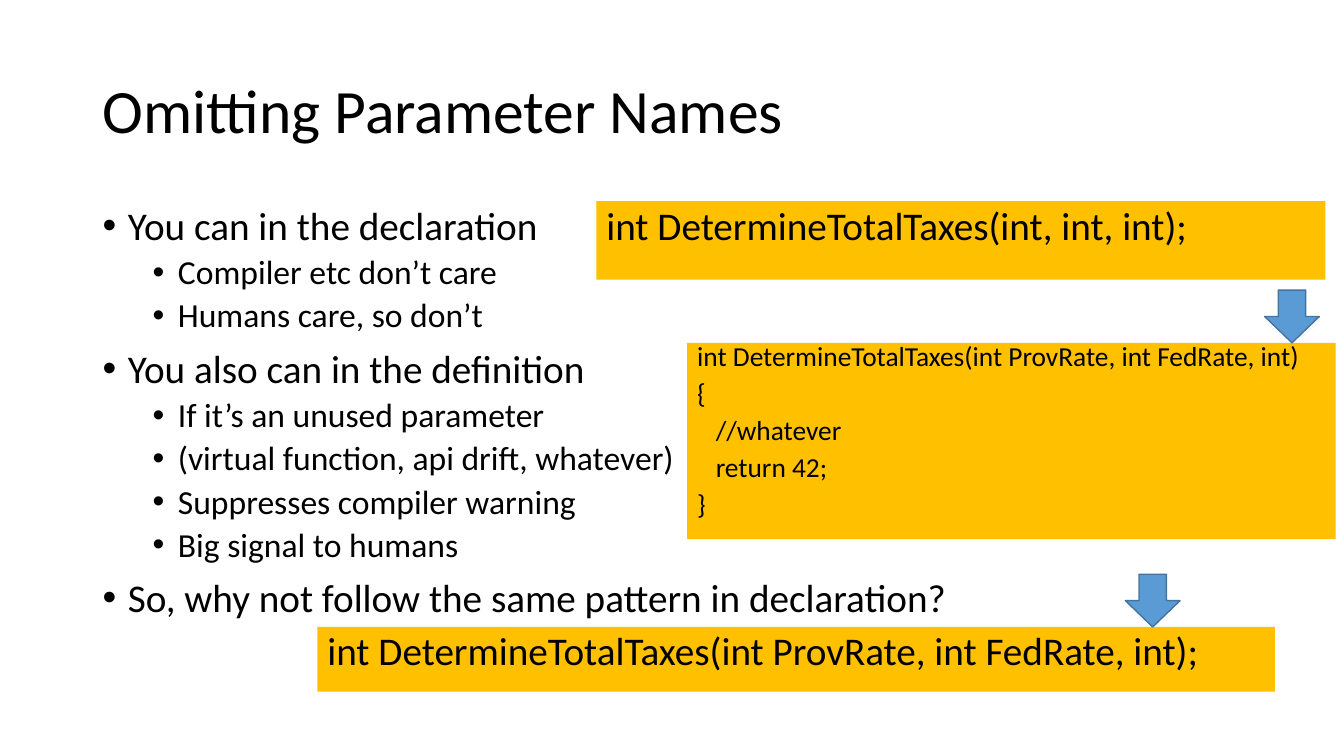
from dataclasses import dataclass

import pptx
import pptx.dml.color
import pptx.enum.shapes
import pptx.enum.text
import pptx.oxml.ns
import pptx.util
from lxml import etree

Cm = pptx.util.Cm
Pt = pptx.util.Pt
SHAPES = pptx.enum.shapes.MSO_SHAPE
ANCHOR = pptx.enum.text.MSO_ANCHOR


@dataclass(frozen=True)
class Theme:
    font: str = "Calibri"
    text: str = "000000"
    code_fill: str = "FFC000"
    arrow_fill: str = "5B9BD5"
    arrow_line: str = "43739E"
    title_size: float = 44
    level_sizes: tuple = (28, 24)
    code_size: float = 28
    small_code_size: float = 19.6


THEME = Theme()
LEVEL_INDENTS = (0.64, 1.9)
HANGING = 0.64
LEVEL_SPACING = (10, 5)
CODE_INDENT = 0.47

TITLE = "Omitting Parameter Names"
BULLETS = [
    (0, "You can in the declaration"),
    (1, "Compiler etc don’t care"),
    (1, "Humans care, so don’t"),
    (0, "You also can in the definition"),
    (1, "If it’s an unused parameter"),
    (1, "(virtual function, api drift, whatever)"),
    (1, "Suppresses compiler warning"),
    (1, "Big signal to humans"),
    (0, "So, why not follow the same pattern in declaration?"),
]
UNNAMED_DECLARATION = [(0, "int DetermineTotalTaxes(int, int, int);")]
DEFINITION = [
    (0, "int DetermineTotalTaxes(int ProvRate, int FedRate, int)"),
    (0, "{"),
    (1, "//whatever"),
    (1, "return 42;"),
    (0, "}"),
]
NAMED_DECLARATION = [
    (0, "int DetermineTotalTaxes(int ProvRate, int FedRate, int);"),
]


def rgb(value):
    return pptx.dml.color.RGBColor.from_string(value)


def apply(target, values):
    for name, value in values.items():
        setattr(target, name, value)


def place(sp, left, top, width, height):
    apply(sp, {"left": Cm(left), "top": Cm(top),
               "width": Cm(width), "height": Cm(height)})


def prepare_frame(tf, anchor):
    apply(tf, {"word_wrap": True, "vertical_anchor": anchor,
               "auto_size": pptx.enum.text.MSO_AUTO_SIZE.NONE})


def write_paragraph(p, text, size, line_spacing=0.9, before=0):
    apply(p, {"alignment": pptx.enum.text.PP_ALIGN.LEFT,
              "line_spacing": line_spacing, "space_before": Pt(before)})
    r = p.add_run()
    r.text = text
    apply(r.font, {"name": THEME.font, "size": Pt(size)})
    r.font.color.rgb = rgb(THEME.text)


def set_indent(p, left, first=0):
    pPr = p._p.get_or_add_pPr()
    pPr.set("marL", str(Cm(left)))
    pPr.set("indent", str(Cm(first)))
    return pPr


def add_bullet(p, level):
    p.level = level
    pPr = set_indent(p, LEVEL_INDENTS[level], -HANGING)
    font = etree.SubElement(pPr, pptx.oxml.ns.qn("a:buFont"))
    font.set("typeface", "Arial")
    bullet = etree.SubElement(pPr, pptx.oxml.ns.qn("a:buChar"))
    bullet.set("char", "•")


def paragraphs(tf, items):
    """Yield a paragraph of the frame with each (level, text) item."""
    for i, (level, text) in enumerate(items):
        yield (tf.add_paragraph() if i else tf.paragraphs[0]), level, text


def fill_title(sp):
    place(sp, 2.33, 1.01, 29.21, 3.68)
    prepare_frame(sp.text_frame, ANCHOR.MIDDLE)
    write_paragraph(sp.text_frame.paragraphs[0], TITLE, THEME.title_size)


def fill_list(sp):
    place(sp, 2.33, 5.07, 29.21, 13.82)
    prepare_frame(sp.text_frame, ANCHOR.TOP)
    for p, level, text in paragraphs(sp.text_frame, BULLETS):
        write_paragraph(p, text, THEME.level_sizes[level],
                        before=LEVEL_SPACING[level])
        add_bullet(p, level)


def add_shape(s, kind, box, fill):
    sp = s.shapes.add_shape(kind, 0, 0, 0, 0)
    place(sp, *box)
    sp.shadow.inherit = False
    sp.fill.solid()
    sp.fill.fore_color.rgb = rgb(fill)
    return sp


def add_code(s, box, lines, size=THEME.code_size, line_spacing=0.9):
    sp = add_shape(s, SHAPES.RECTANGLE, box, THEME.code_fill)
    sp.line.fill.background()
    prepare_frame(sp.text_frame, ANCHOR.TOP)
    for p, level, text in paragraphs(sp.text_frame, lines):
        write_paragraph(p, text, size, line_spacing, before=10)
        set_indent(p, level * CODE_INDENT)


def add_arrow(s, left, top):
    sp = add_shape(s, SHAPES.DOWN_ARROW, (left, top, 1.38, 1.33),
                   THEME.arrow_fill)
    sp.line.color.rgb = rgb(THEME.arrow_line)
    sp.line.width = Pt(1)


def main():
    prs = pptx.Presentation()
    apply(prs, {"slide_width": Cm(33.87), "slide_height": Cm(19.05)})
    s = prs.slides.add_slide(prs.slide_layouts[1])
    fill_title(s.shapes.title)
    fill_list(s.placeholders[1])
    add_code(s, (15.03, 5.07, 18.37, 1.98), UNNAMED_DECLARATION)
    add_code(s, (17.32, 8.64, 16.34, 4.95), DEFINITION,
             THEME.small_code_size, line_spacing=0.7)
    add_arrow(s, 31.87, 7.31)
    add_code(s, (8, 15.8, 24.13, 1.63), NAMED_DECLARATION)
    add_arrow(s, 28.36, 14.47)
    prs.save("out.pptx")


if __name__ == "__main__":
    main()
